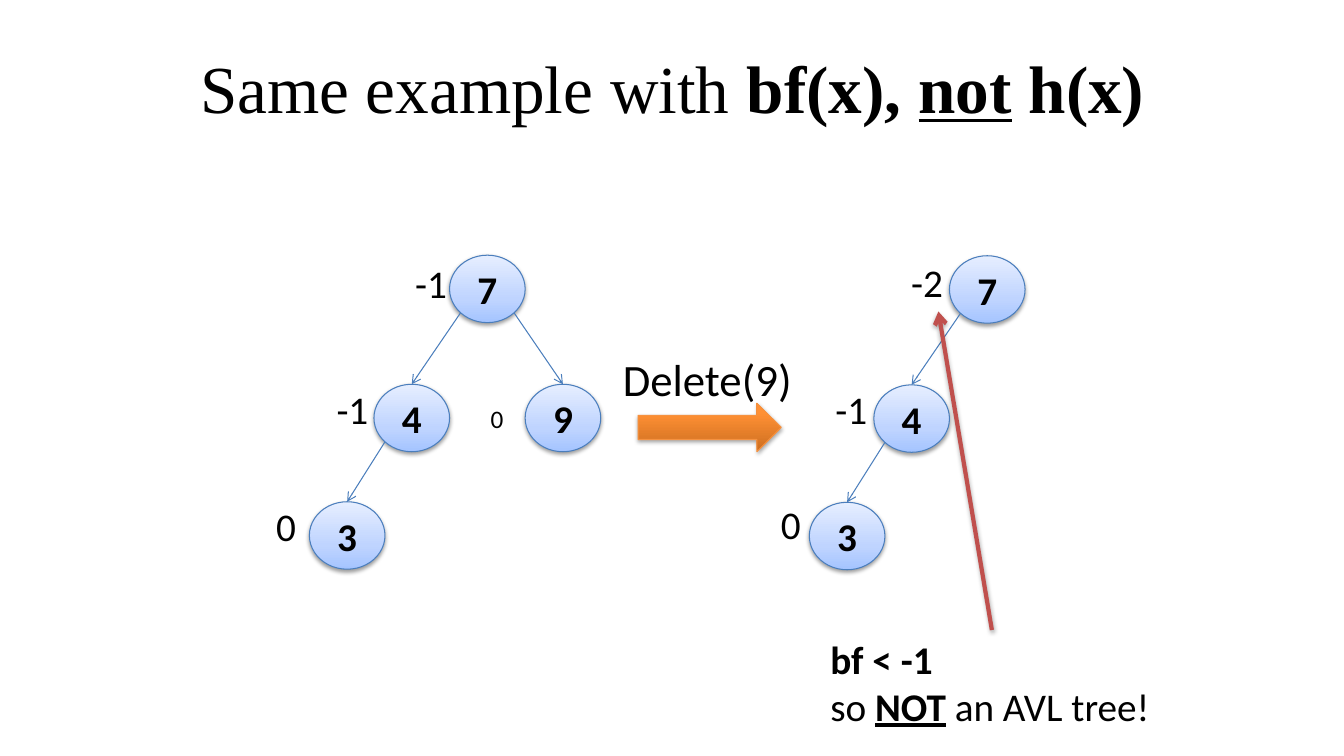
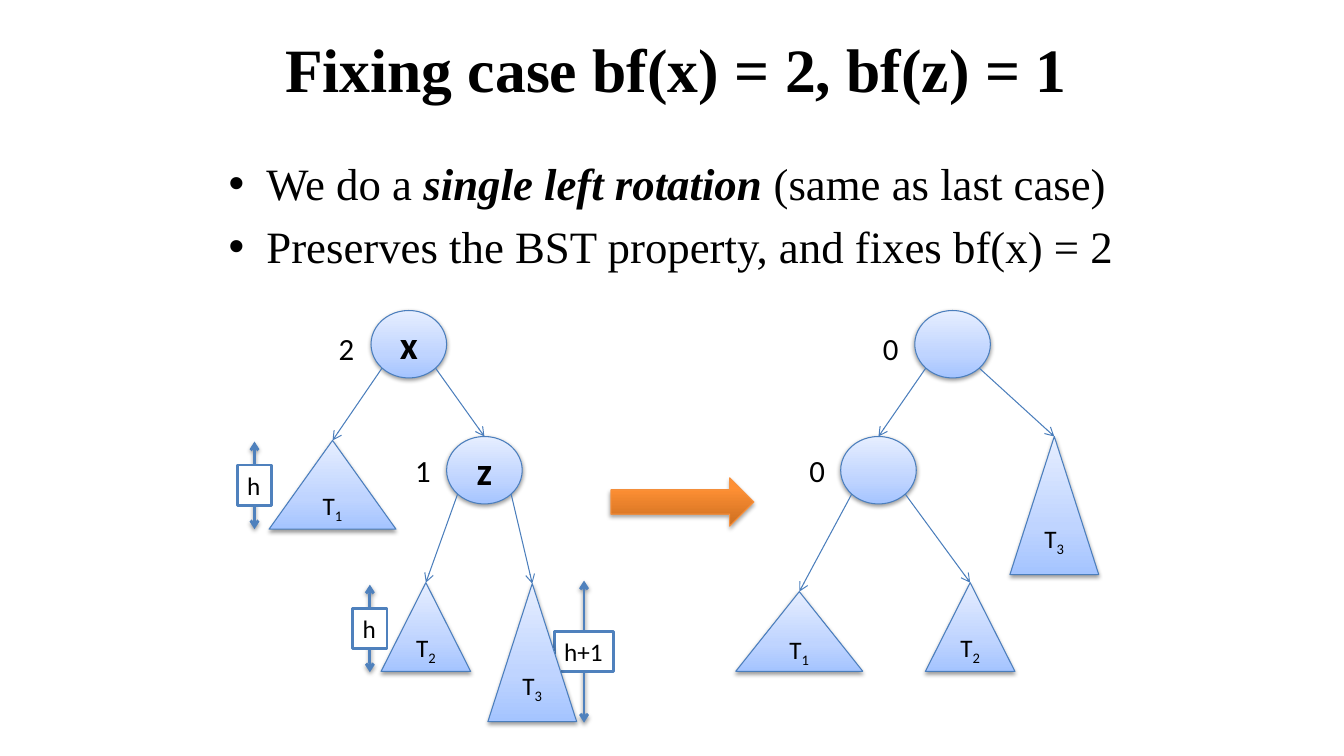
"""Build two slides on AVL trees: a deletion and a single left rotation."""
from dataclasses import dataclass
from typing import Any, NamedTuple

from pptx import Presentation
from pptx.dml.color import RGBColor as RGB
from pptx.enum.shapes import MSO_CONNECTOR as LINK, MSO_SHAPE as FORM
from pptx.enum.text import MSO_ANCHOR as ANCHOR, MSO_AUTO_SIZE as FIT, PP_ALIGN as ALIGN
from pptx.oxml import parse_xml
from pptx.util import Pt

COLORS = {"ink": "000000", "paper": "FFFFFF", "edge": "4B7EBC", "span": "4F81BD",
          "alert": "C0504D", "rim": "F69240"}
BLUE = ((0, "A4C4FF"), (35, "BFD4FF"), (100, "E6EEFF"))
ORANGE = ((0, "CC6E20"), (80, "FF9034"), (100, "FF9136"))
SOFT, DEEP = (38, 1.6), (35, 1.8)
SERIF, SANS = "Times New Roman", "Calibri"
NS = 'xmlns:a="http://schemas.openxmlformats.org/drawingml/2006/main"'
CORNER = 0.146
Runs = list[tuple[str, dict[str, Any]]]


@dataclass
class Node:
    text: str
    left: float
    top: float
    wide: float = 54
    high: float = 48.2
    form: Any = FORM.OVAL

    @property
    def mid(self) -> float:
        return self.left + self.wide / 2


class Tree(NamedTuple):
    nodes: list[Node]
    edges: list[tuple[int, int]]


class Tag(NamedTuple):
    text: str
    left: float
    top: float
    wide: float
    high: float = 41
    size: float = 28


class Span(NamedTuple):
    text: str
    mid: float
    top: float
    high: float
    wide: float = 24.5


def style(item: Any, **values: Any) -> None:
    for name, value in values.items():
        setattr(item, name, value)


def xml(name: str, rest: str = "", inner: str = "") -> Any:
    return parse_xml(f"<a:{name} {NS} {rest}>{inner}</a:{name}>")


def shade(shape: Any, glow: tuple[float, float] | None) -> None:
    inner = ""
    if glow:
        alpha, dist = glow
        inner = (f'<a:outerShdw blurRad="{Pt(3.1)}" dist="{Pt(dist)}" dir="5400000" '
                 f'rotWithShape="0"><a:srgbClr val="{COLORS["ink"]}">'
                 f'<a:alpha val="{alpha * 1000}"/></a:srgbClr></a:outerShdw>')
    shape._element.spPr.append(xml("effectLst", "", inner))


def ink(line: Any, color: str, width: float) -> None:
    line.color.rgb = RGB.from_string(COLORS[color])
    line.width = Pt(width)


def blend(shape: Any, stops: tuple) -> None:
    marks = "".join(f'<a:gs pos="{pos * 1000}"><a:srgbClr val="{color}"/></a:gs>'
                    for pos, color in stops)
    shape._element.spPr.insert(2, xml(
        "gradFill", 'rotWithShape="1"',
        f'<a:gsLst>{marks}</a:gsLst><a:lin ang="16200000" scaled="0"/>'))


def write(para: Any, runs: Runs, size: float, face: str = SANS) -> None:
    for text, look in runs:
        run = para.add_run()
        run.text = text
        style(run.font, name=face, size=Pt(size))
        run.font.color.rgb = RGB.from_string(COLORS["ink"])
        for name, value in look.items():
            if name == "base":
                run._r.get_or_add_rPr().set("baseline", str(value * 1000))
            else:
                setattr(run.font, name, value)


def add_box(slide: Any, left: float, top: float, wide: float, high: float) -> Any:
    return slide.shapes.add_textbox(Pt(left), Pt(top), Pt(wide), Pt(high))


def add_form(slide: Any, form: Any, left: float, top: float, wide: float, high: float,
             stops: tuple, rim: str, glow: tuple[float, float]) -> Any:
    shape = slide.shapes.add_shape(form, Pt(left), Pt(top), Pt(wide), Pt(high))
    blend(shape, stops)
    ink(shape.line, rim, 0.75)
    shade(shape, glow)
    return shape


def add_line(slide: Any, start: tuple[float, float], end: tuple[float, float],
             color: str = "edge", width: float = 0.75,
             glow: tuple[float, float] | None = None, both: bool = False) -> None:
    line = slide.shapes.add_connector(LINK.STRAIGHT, *map(Pt, start + end))
    ink(line.line, color, width)
    for name in ("headEnd", "tailEnd") if both else ("tailEnd",):
        line.line._get_or_add_ln().append(xml(name, 'type="arrow"'))
    shade(line, glow)


def add_title(slide: Any, left: float, top: float, runs: Runs, size: float) -> None:
    frame = add_box(slide, left, top, 864, 90).text_frame
    style(frame, word_wrap=True, vertical_anchor=ANCHOR.MIDDLE)
    frame.paragraphs[0].alignment = ALIGN.CENTER
    write(frame.paragraphs[0], runs, size, SERIF)


def add_list(slide: Any, rows: list[Runs]) -> None:
    frame = add_box(slide, 156.2, 108, 653.8, 356.4).text_frame
    frame.word_wrap = True
    for index, runs in enumerate(rows):
        para = frame.add_paragraph() if index else frame.paragraphs[0]
        para.space_before = Pt(6.4)
        props = para._p.get_or_add_pPr()
        props.set("marL", str(Pt(27)))
        props.set("indent", str(Pt(-27)))
        props.append(xml("buFont", 'typeface="Arial"'))
        props.append(xml("buChar", 'char="•"'))
        write(para, runs, 32, SERIF)


def add_tag(slide: Any, tag: Tag, rows: list[Runs] | None = None) -> Any:
    box = add_box(slide, tag.left, tag.top, tag.wide, tag.high)
    frame = box.text_frame
    style(frame, word_wrap=False, auto_size=FIT.SHAPE_TO_FIT_TEXT)
    for index, runs in enumerate(rows or [[(tag.text, {})]]):
        para = frame.add_paragraph() if index else frame.paragraphs[0]
        write(para, runs, tag.size)
    return box


def add_span(slide: Any, span: Span) -> None:
    base = span.top + span.high
    add_line(slide, (span.mid, span.top), (span.mid, base), "span", 2, SOFT, True)
    box = add_tag(slide, Tag(span.text, span.mid - span.wide / 2,
                             (span.top + base - 29) / 2, span.wide, 29, 18))
    box.fill.solid()
    box.fill.fore_color.rgb = RGB.from_string(COLORS["paper"])
    ink(box.line, "span", 2)


def add_node(slide: Any, node: Node) -> None:
    shape = add_form(slide, node.form, node.left, node.top, node.wide, node.high,
                     BLUE, "edge", SOFT)
    if not node.text:
        return
    frame = shape.text_frame
    frame.vertical_anchor = ANCHOR.MIDDLE
    para = frame.paragraphs[0]
    para.alignment = ALIGN.CENTER
    if node.form == FORM.OVAL:
        write(para, [(node.text, {"bold": True})], 28)
    else:
        write(para, [(node.text[0], {}), (node.text[1:], {"base": -25})], 18)


def add_tree(slide: Any, tree: Tree) -> None:
    for node in tree.nodes:
        add_node(slide, node)
    for upper, lower in tree.edges:
        top, low = tree.nodes[upper], tree.nodes[lower]
        share = CORNER if low.mid < top.mid else 1 - CORNER
        start = (top.left + share * top.wide, top.top + (1 - CORNER) * top.high)
        add_line(slide, start, (low.mid, low.top))


def add_arrow(slide: Any, left: float, top: float) -> None:
    add_form(slide, FORM.RIGHT_ARROW, left, top, 102.2, 34.6, ORANGE, "rim", DEEP)


def leaf(text: str, left: float, top: float, wide: float, high: float) -> Node:
    return Node(text, left, top, wide, high, FORM.ISOSCELES_TRIANGLE)


def draw_delete(slide: Any) -> None:
    bold, under = {"bold": True}, {"bold": True, "underline": True}
    add_title(slide, 48.2, 16.6, [("Same example with ", {}), ("bf(x), ", bold),
                                  ("not", under), (" h(x)", bold)], 48)
    for shift, drop in ((0, 0), (357.1, 0.4)):
        nodes = [Node(text, left + shift, top + drop) for text, left, top in
                 (("7", 321.1, 182.3), ("4", 267.1, 274.5), ("3", 221, 358.4))]
        edges = [(0, 1), (1, 2)]
        if not shift:
            nodes.append(Node("9", 375.1, 274.5))
            edges.append((0, 3))
        add_tree(slide, Tree(nodes, edges))
    add_arrow(slide, 455.8, 288)
    for tag in (Tag("Delete(9)", 437.8, 247.7, 136.8, 46, 32),
                Tag("-1", 289.4, 181.4, 37.4), Tag("-1", 233.3, 271.6, 37.4),
                Tag("0", 190.1, 355, 28.8), Tag("0", 343.4, 284.4, 23.8, 29, 18),
                Tag("-2", 643.7, 180.7, 37.4), Tag("-1", 589.7, 271.4, 37.4),
                Tag("0", 550.8, 354.2, 28.8)):
        add_tag(slide, tag)
    add_line(slide, (708.5, 450), (670.3, 222.5), "alert", 3, DEEP)
    add_tag(slide, Tag("", 586.1, 450, 244.8, 74.9),
            [[("bf < -1", bold)], [("so ", {}), ("NOT", under), (" an AVL tree!", {})]])


def draw_turn(slide: Any) -> None:
    add_title(slide, 51.1, 3.6, [("Fixing case bf(x) = 2, bf(z) = 1", {"bold": True})], 44)
    add_list(slide, [
        [("We do a ", {}), ("single left rotation ", {"bold": True, "italic": True}),
         ("(same as last case)", {})],
        [("Preserves the BST property, and fixes bf(x) = 2", {})]])
    for span in (Span("h+1", 417.2, 414.7, 101.5, 42.5), Span("h", 181.8, 315.4, 62.6),
                 Span("h", 264.2, 417.6, 62.6)):
        add_span(slide, span)
    add_tree(slide, Tree(
        [Node("x", 265, 221.8), leaf("T1", 192.2, 314.6, 90.7, 63.4),
         Node("z", 319, 311.8), leaf("T2", 272.2, 416.2, 64, 63.4),
         leaf("T3", 348.5, 416.9, 63.4, 98.6)],
        [(0, 1), (0, 2), (2, 3), (2, 4)]))
    add_arrow(slide, 436.3, 341.3)
    add_tree(slide, Tree(
        [Node("", 653.4, 221.8), Node("", 600.5, 311.8),
         leaf("T1", 525.6, 422.6, 90.7, 56.9), leaf("T2", 661, 416.2, 64, 63.4),
         leaf("T3", 721.4, 311.8, 63.4, 98.6)],
        [(0, 1), (0, 4), (1, 2), (1, 3)]))
    for text, left, top in (("2", 234.7, 231.8), ("1", 289.4, 319),
                            ("0", 623.5, 231.8), ("0", 571, 319)):
        add_tag(slide, Tag(text, left, top, 26, 33.8, 22))


def main() -> None:
    deck = Presentation()
    style(deck, slide_width=Pt(960), slide_height=Pt(540))
    for draw in (draw_delete, draw_turn):
        draw(deck.slides.add_slide(deck.slide_layouts[6]))
    deck.save("out.pptx")


if __name__ == "__main__":
    main()
